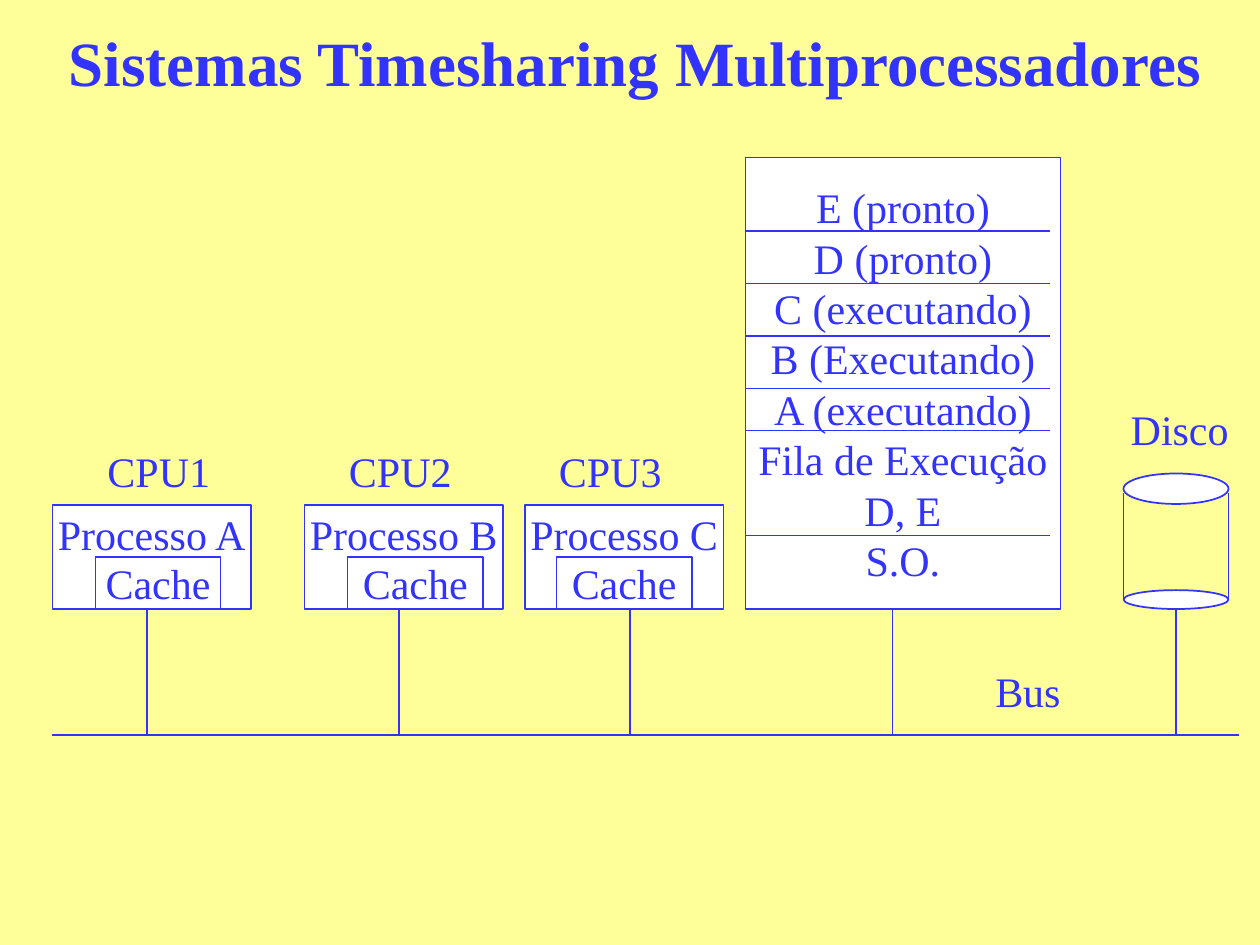
from dataclasses import dataclass
from pptx import Presentation
from pptx.dml.color import RGBColor
from pptx.enum.shapes import MSO_CONNECTOR, MSO_SHAPE
from pptx.enum.text import MSO_ANCHOR, MSO_AUTO_SIZE, PP_ALIGN
from pptx.oxml.ns import qn
from pptx.util import Inches, Pt


@dataclass(frozen=True)
class Theme:
    ink: RGBColor = RGBColor(0x33, 0x33, 0xFF)
    paper: RGBColor = RGBColor(0xFF, 0xFF, 0x99)
    panel: RGBColor = RGBColor(0xFF, 0xFF, 0xFF)
    font: str = "Times New Roman"
    title_size: Pt = Pt(36)
    body_size: Pt = Pt(24)
    body_leading: Pt = Pt(28.8)
    line_width: Pt = Pt(1)


theme = Theme()
BUS_ROW = 70
FLOOR_ROW = 58  # bottom of every unit above the bus


def grid(*cells):
    """Twelve columns or rows to the inch."""
    return [Inches(cell / 12) for cell in cells]


def assign(target, values):
    for name, value in values.items():
        setattr(target, name, value)


def write(frame, lines, align=PP_ALIGN.CENTER, size=theme.body_size,
          leading=theme.body_leading, bold=False, **frame_format):
    assign(frame, {"word_wrap": False, "auto_size": MSO_AUTO_SIZE.NONE,
                   "vertical_anchor": MSO_ANCHOR.MIDDLE, **frame_format})
    for index, line in enumerate(lines):
        para = frame.add_paragraph() if index else frame.paragraphs[0]
        assign(para, {"alignment": align, "line_spacing": leading})
        span = para.add_run()
        span.text = line
        assign(span.font, {"name": theme.font, "size": size, "bold": bold})
        span.font.color.rgb = theme.ink


def add_panel(page, box, lines=(), kind=MSO_SHAPE.RECTANGLE, **text_format):
    panel = page.shapes.add_shape(kind, *grid(*box))
    panel.shadow.inherit = False
    panel.fill.solid()
    panel.fill.fore_color.rgb = theme.panel
    panel.line.color.rgb = theme.ink
    panel.line.width = theme.line_width
    if lines:
        write(panel.text_frame, lines, **text_format)


def add_line(page, *ends):
    line = page.shapes.add_connector(MSO_CONNECTOR.STRAIGHT, *grid(*ends))
    line.line.color.rgb = theme.ink
    line.line.width = theme.line_width
    properties = line.element.spPr
    properties.append(properties.makeelement(qn("a:effectLst"), {}))


def add_label(page, text, left, top, width):
    label = page.shapes.add_textbox(*grid(left, top, width, 6))
    write(label.text_frame, [text], align=PP_ALIGN.RIGHT,
          vertical_anchor=MSO_ANCHOR.TOP)


def add_drop(page, column):
    add_line(page, column, FLOOR_ROW, column, BUS_ROW)


def add_title(page, text):
    title = page.shapes.title
    assign(title, dict(zip(("left", "top", "width", "height"),
                           grid(5, 0, 111, 15))))
    write(title.text_frame, [text], size=theme.title_size, leading=1.0, bold=True,
          word_wrap=True, margin_bottom=Inches(0.32))


def add_cpu(page, box, name, process, label_shift, cache_shift, cache_width, drop_shift):
    left, top, _, height = box
    add_label(page, name, left + label_shift, top - 6.3, 12.2)
    add_panel(page, box, [process], vertical_anchor=MSO_ANCHOR.TOP,
              margin_top=Inches(0.03))
    add_panel(page, (left + cache_shift, top + height / 2, cache_width, height / 2),
              ["Cache"])
    add_drop(page, left + drop_shift)


def add_memory(page, box, lines):
    left, top, width, height = box
    add_panel(page, box, lines)
    for row in (7, 12, 17, 22, 26, 36):
        add_line(page, left, top + row, left + width - 1, top + row)
    add_drop(page, left + 14)


def add_disk(page, box):
    left, top, width, height = box
    add_label(page, "Disco", left - 0.6, top - 7.3, 11.8)
    add_panel(page, (left, top, width, 2.9), kind=MSO_SHAPE.OVAL)
    for side in (left, left + width):
        add_line(page, side, top + 1.9, side, top + height - 1)
    add_panel(page, (left, top + height - 1.8, width, 1.8), kind=MSO_SHAPE.OVAL)
    add_drop(page, left + width / 2)


def add_bus(page, left, right):
    add_line(page, left, BUS_ROW, right, BUS_ROW)
    add_label(page, "Bus", 93.6, BUS_ROW - 7.2, 8.6)


deck = Presentation()
deck.slide_width, deck.slide_height = grid(120, 90)
page = deck.slides.add_slide(deck.slide_layouts[5])
page.background.fill.solid()
page.background.fill.fore_color.rgb = theme.paper

add_title(page, "Sistemas Timesharing Multiprocessadores")

# Processors: column, name, process, then label, cache and drop offsets
for column, *details in (
    (5, "CPU1", "Processo A", 4, 4.1, 11.9, 9),
    (29, "CPU2", "Processo B", 3, 4.1, 12.9, 9),
    (50, "CPU3", "Processo C", 2, 3, 12.9, 10),
):
    add_cpu(page, (column, 48.1, 18.9, FLOOR_ROW - 48.1), *details)

# Shared memory, disk and bus
add_memory(page, (71, 15, 30, FLOOR_ROW - 15), [
    "E (pronto)", "D (pronto)", "C (executando)", "B (Executando)",
    "A (executando)", "Fila de Execução", "D, E", "S.O."])
add_disk(page, (107, 45.1, 10, FLOOR_ROW - 45.1))
add_bus(page, 5, 118)

deck.save("out.pptx")
